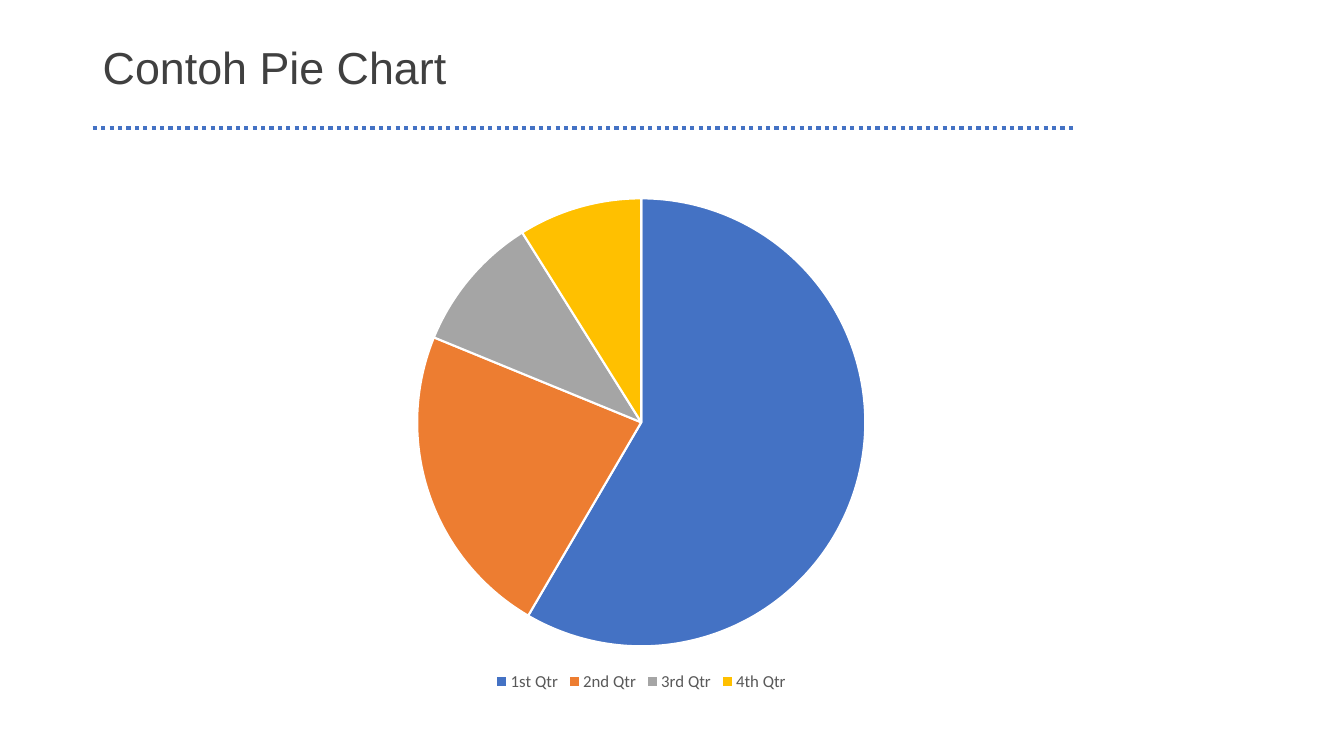
from pptx import Presentation
from pptx.chart.data import CategoryChartData
from pptx.dml.color import RGBColor
from pptx.enum.chart import XL_CHART_TYPE as CHART, XL_LEGEND_POSITION as LEGEND
from pptx.enum.dml import MSO_LINE_DASH_STYLE as DASH
from pptx.enum.shapes import MSO_CONNECTOR as CONNECTOR
from pptx.enum.text import MSO_ANCHOR as ANCHOR
from pptx.oxml.xmlchemy import OxmlElement
from pptx.util import Inches, Pt

WHITE = RGBColor(0xFF, 0xFF, 0xFF)
TITLE_GREY = RGBColor(0x40, 0x40, 0x40)
LEGEND_GREY = RGBColor(0x59, 0x59, 0x59)
BLUE = RGBColor(0x44, 0x72, 0xC4)
ORANGE = RGBColor(0xED, 0x7D, 0x31)
GREY = RGBColor(0xA5, 0xA5, 0xA5)
GOLD = RGBColor(0xFF, 0xC0, 0x00)

prs = Presentation()
prs.slide_width, prs.slide_height = Inches(13.33), Inches(7.5)
s = prs.slides.add_slide(prs.slide_layouts[6])


def add_text(text, left, top, width, height, size=18, font="Arial", color=TITLE_GREY):
    sp = s.shapes.add_textbox(Inches(left), Inches(top), Inches(width), Inches(height))
    tf = sp.text_frame
    tf.word_wrap = True
    tf.vertical_anchor = ANCHOR.MIDDLE
    p = tf.paragraphs[0]
    p.line_spacing = 0.9
    r = p.add_run()
    r.text = text
    r.font.size, r.font.name = Pt(size), font
    r.font.color.rgb = color
    return sp


# Title
add_text("Contoh Pie Chart", 0.92, 0.13, 8.73, 1.12, size=32)

# Dotted rule under the title
rule = s.shapes.add_connector(CONNECTOR.STRAIGHT, Inches(0.92), Inches(1.27),
                              Inches(10.65), Inches(1.27))
rule.line.color.rgb = BLUE
rule.line.width = Pt(3)
rule.line.dash_style = DASH.ROUND_DOT
rule._element.spPr.append(OxmlElement("a:effectLst"))

# Pie chart
quarters = [("1st Qtr", 59, BLUE), ("2nd Qtr", 23, ORANGE),
            ("3rd Qtr", 10, GREY), ("4th Qtr", 9, GOLD)]
data = CategoryChartData()
data.categories = [name for name, _, _ in quarters]
data.add_series("Series 1", [value for _, value, _ in quarters])
chart = s.shapes.add_chart(CHART.PIE, Inches(2.22), Inches(1.83),
                           Inches(8.28), Inches(5.07), data).chart
chart.has_title = False
chart.font.name, chart.font.size = "Calibri", Pt(10)
plot = chart.plots[0]
plot.vary_by_categories = True
for i, (_, _, color) in enumerate(quarters):
    pie_slice = plot.series[0].points[i].format
    pie_slice.fill.solid()
    pie_slice.fill.fore_color.rgb = color
    pie_slice.line.color.rgb = WHITE
    pie_slice.line.width = Pt(1.5)

# Legend
chart.has_legend = True
legend = chart.legend
legend.position = LEGEND.BOTTOM
legend.include_in_layout = False
legend.font.name, legend.font.size = "Calibri", Pt(12)
legend.font.color.rgb = LEGEND_GREY

prs.save("out.pptx")
